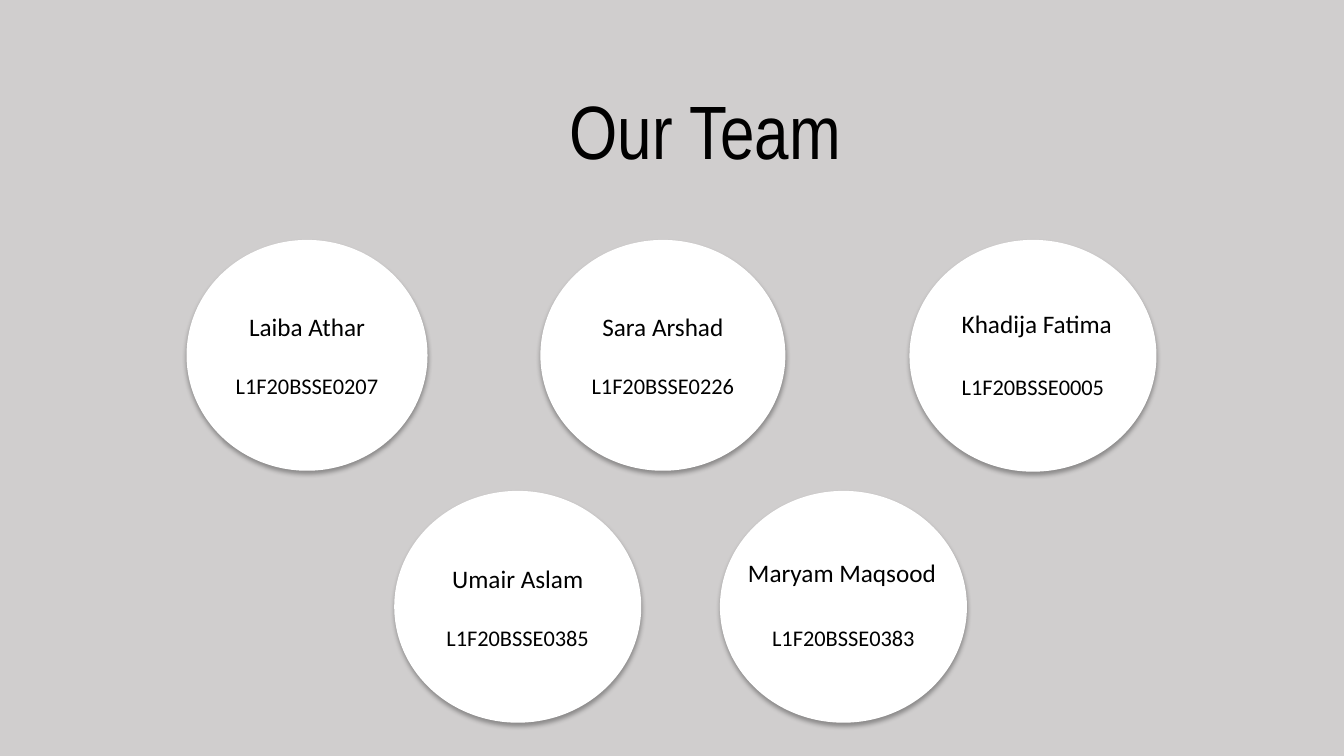
from lxml import etree
from pptx import Presentation
from pptx.dml.color import RGBColor
from pptx.enum import shapes, text
from pptx.oxml import parse_xml
from pptx.util import Inches, Pt

SHADOW = (
    '<a:effectLst xmlns:a="http://schemas.openxmlformats.org/drawingml/2006/main">'
    '<a:outerShdw blurRad="44450" dist="27940" dir="5400000" algn="ctr">'
    '<a:srgbClr val="000000"><a:alpha val="32000"/></a:srgbClr>'
    '</a:outerShdw></a:effectLst>'
)


def color(code):
    return RGBColor.from_string(code)


class Deck:
    ink = "000000"
    paper = "FFFFFF"
    back = "D0CECE"
    font = "Calibri"
    line = 22

    def __init__(self):
        self.prs = Presentation()
        self.prs.slide_width = Inches(13.33)
        self.prs.slide_height = Inches(7.5)
        self.slide = self.prs.slides.add_slide(self.prs.slide_layouts[6])
        fill = self.slide.background.fill
        fill.solid()
        fill.fore_color.rgb = color(self.back)

    def style(self, para, words, size, align, font=None):
        para.text = words
        para.alignment = align
        para.font.size = Pt(size)
        para.font.name = font or self.font
        para.font.color.rgb = color(self.ink)

    def label(self, words, box, size=18, align=text.PP_ALIGN.LEFT, font=None):
        frame = self.slide.shapes.add_textbox(*map(Inches, box)).text_frame
        frame.word_wrap = True
        frame.auto_size = text.MSO_AUTO_SIZE.SHAPE_TO_FIT_TEXT
        self.style(frame.paragraphs[0], words, size, align, font)

    def disc(self, box, name, code):
        disc = self.slide.shapes.add_shape(shapes.MSO_SHAPE.OVAL, *map(Inches, box))
        disc.fill.solid()
        disc.fill.fore_color.rgb = color(self.paper)
        disc.line.fill.background()
        disc._element.spPr.append(parse_xml(SHADOW))
        frame = disc.text_frame
        frame.word_wrap = True
        frame.vertical_anchor = text.MSO_ANCHOR.MIDDLE
        para = frame.paragraphs[0]
        if name:
            self.style(para, name, 18, text.PP_ALIGN.CENTER)
            para = frame.add_paragraph()
            para.space_before = Pt(self.line)
        else:
            frame.margin_top = Inches(0.05) + Pt(2 * self.line)
        self.style(para, code, 16, text.PP_ALIGN.CENTER)


def main():
    deck = Deck()
    deck.label("Our Team", (2.63, 0.78, 8.73, 1.01), 54,
               text.PP_ALIGN.CENTER, "Arial Narrow")
    team = [
        ((1.85, 2.38, 2.39, 2.29), "Laiba Athar", "L1F20BSSE0207"),
        ((5.36, 2.38, 2.43, 2.29), "Sara Arshad", "L1F20BSSE0226"),
        ((9.02, 2.38, 2.45, 2.3), None, "L1F20BSSE0005"),
        ((3.91, 4.87, 2.45, 2.3), "Umair Aslam", "L1F20BSSE0385"),
        ((7.14, 4.87, 2.45, 2.3), None, "L1F20BSSE0383"),
    ]
    for box, name, code in team:
        deck.disc(box, name, code)
    deck.label("Khadija Fatima", (9.44, 3.01, 2.57, 0.4))
    deck.label("Maryam Maqsood", (7.32, 5.48, 2.99, 0.4))
    deck.prs.save("out.pptx")


if __name__ == "__main__":
    main()
